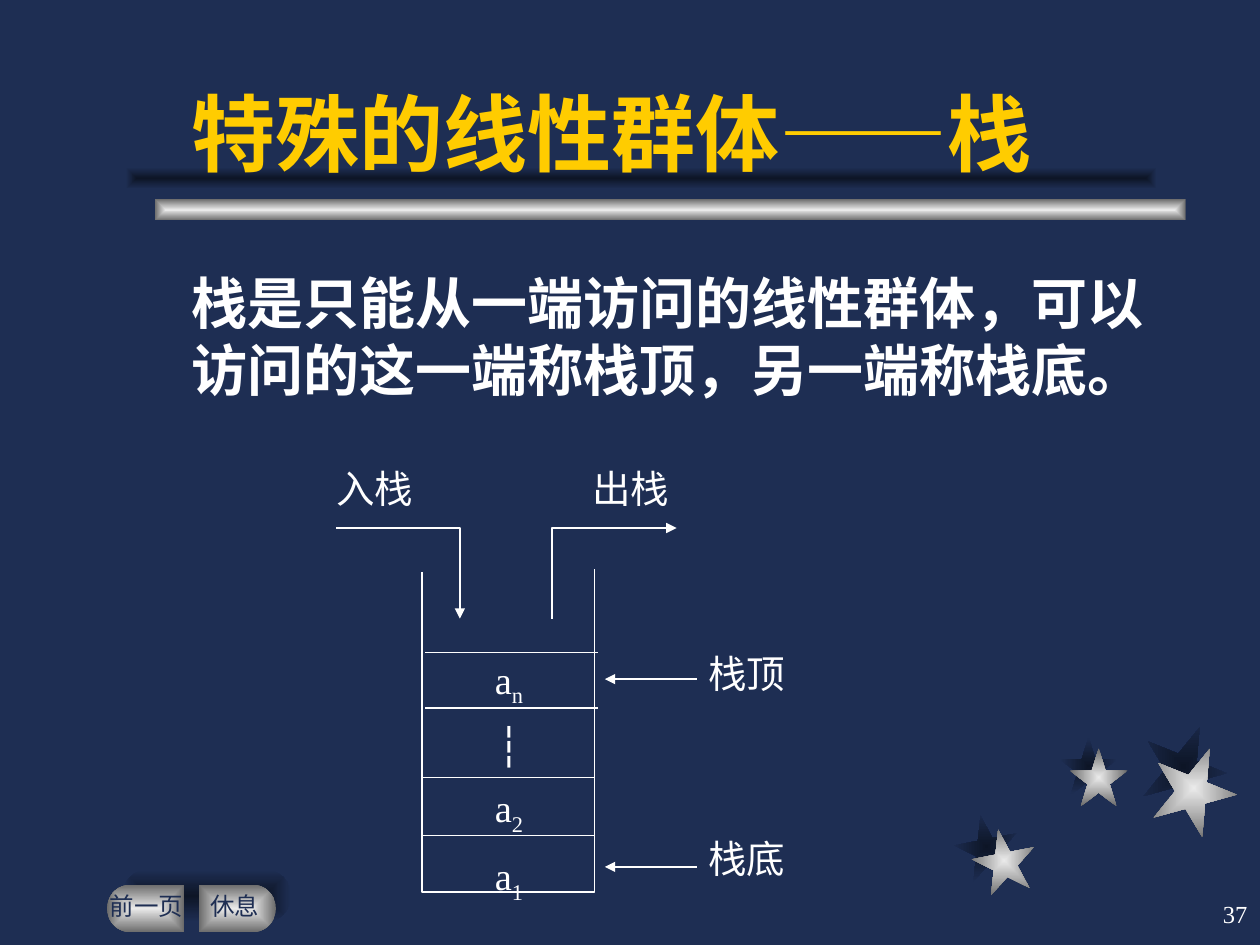
import math
from dataclasses import dataclass

import lxml.etree
import pptx
import pptx.dml.color
import pptx.enum.shapes
import pptx.enum.text
import pptx.oxml.ns
import pptx.util

ALIGN = pptx.enum.text.PP_ALIGN
ANCHOR = pptx.enum.text.MSO_ANCHOR
SHAPE = pptx.enum.shapes.MSO_SHAPE
qn = pptx.oxml.ns.qn


@dataclass(frozen=True)
class Theme:
    background: str = "1E2E53"
    title: str = "FFCC00"
    text: str = "FFFFFF"
    metal: tuple = ("EAEAEA", "6B6B6B")
    shade: tuple = ("0D1526", "1E2E53")
    heading_font: str = "Arial"
    label_font: str = "Times New Roman"
    title_size: int = 48
    body_size: int = 32
    label_size: int = 22
    small_size: int = 14
    line_width: float = 0.75


def rgb(value):
    return pptx.dml.color.RGBColor.from_string(value)


class SlideBuilder:
    """Places elements on a grid of 100 columns by 75 rows."""

    COLUMNS, ROWS = 100, 75

    def __init__(self, presentation, theme):
        self.theme = theme
        self.column = presentation.slide_width / self.COLUMNS
        self.row = presentation.slide_height / self.ROWS
        self.slide = presentation.slides.add_slide(presentation.slide_layouts[1])
        self.shapes = self.slide.shapes
        self.slide.background.fill.solid()
        self.slide.background.fill.fore_color.rgb = rgb(theme.background)

    def point(self, x, y):
        return round(x * self.column), round(y * self.row)

    def box(self, left, top, width, height):
        return *self.point(left, top), *self.point(width, height)

    def glow(self, shape, colors):
        """Fill from the centre outwards, without outline or shadow."""
        shape.shadow.inherit = False
        shape.line.fill.background()
        shape.fill.gradient()
        for stop, color in zip(shape.fill.gradient_stops, colors):
            stop.color.rgb = rgb(color)
        for position, stop in enumerate(shape.fill.gradient_stops):
            stop.position = position
        gradient = shape._element.spPr.find(qn("a:gradFill"))
        gradient.remove(gradient.find(qn("a:lin")))
        focus = lxml.etree.SubElement(gradient, qn("a:path"), {"path": "rect"})
        sides = dict.fromkeys("ltrb", "50000")
        lxml.etree.SubElement(focus, qn("a:fillToRect"), sides)

    def preset(self, kind, area, colors, rotation=0):
        shape = self.shapes.add_shape(kind, *self.box(*area))
        shape.rotation = rotation
        self.glow(shape, colors)
        return shape

    def outline(self, points, close):
        builder = self.shapes.build_freeform(*self.point(*points[0]))
        builder.add_line_segments([self.point(*p) for p in points[1:]], close=close)
        shape = builder.convert_to_shape()
        shape.shadow.inherit = False
        return shape

    def button(self, flat_x, round_x, middle, radius, colors):
        """A tab with one flat side and one half-round side."""
        side = 1 if round_x > flat_x else -1
        centre = round_x - side * radius
        angles = [math.radians(a) for a in range(-90, 91, 10)]
        arc = [(centre + side * radius * math.cos(a), middle + radius * math.sin(a))
               for a in angles]
        points = [(flat_x, middle - radius), *arc, (flat_x, middle + radius)]
        self.glow(self.outline(points, True), colors)

    def stroke(self, shape, arrow):
        shape.line.width = pptx.util.Pt(self.theme.line_width)
        shape.line.color.rgb = rgb(self.theme.text)
        if arrow:
            line = shape._element.spPr.find(qn("a:ln"))
            lxml.etree.SubElement(line, qn("a:tailEnd"), {"type": "triangle"})

    def polyline(self, points, arrow=False):
        shape = self.outline(points, False)
        shape.fill.background()
        self.stroke(shape, arrow)

    def line(self, start, end, arrow=False):
        connector = self.shapes.add_connector(
            pptx.enum.shapes.MSO_CONNECTOR.STRAIGHT,
            *self.point(*start), *self.point(*end))
        self.stroke(connector, arrow)
        lxml.etree.SubElement(connector._element.spPr, qn("a:effectLst"))

    def style(self, paragraph, size, color, font, bold=False, align=ALIGN.LEFT):
        paragraph.alignment = align
        paragraph.font.size = pptx.util.Pt(size)
        paragraph.font.name = font
        paragraph.font.bold = bold
        paragraph.font.color.rgb = rgb(color)

    def placeholder(self, index, area, text, size, color, anchor):
        shape = self.slide.placeholders[index]
        shape.left, shape.top, shape.width, shape.height = self.box(*area)
        frame = shape.text_frame
        frame.text = text
        frame.auto_size = pptx.enum.text.MSO_AUTO_SIZE.NONE
        frame.vertical_anchor = anchor
        paragraph = frame.paragraphs[0]
        self.style(paragraph, size, color, self.theme.heading_font, True)
        self.shapes._spTree.append(shape._element)  # bring to the front
        return paragraph

    def label(self, area, lines, size=None, color=None, align=ALIGN.LEFT,
              anchor=ANCHOR.TOP, spacing=None):
        """Each line is a pair: base text and subscript."""
        frame = self.shapes.add_textbox(*self.box(*area)).text_frame
        frame.word_wrap = True
        frame.vertical_anchor = anchor
        frame.margin_left = frame.margin_right = 0
        frame.margin_top = frame.margin_bottom = 0
        for number, (base, subscript) in enumerate(lines):
            paragraph = frame.add_paragraph() if number else frame.paragraphs[0]
            self.style(paragraph, size or self.theme.label_size,
                       color or self.theme.text, self.theme.label_font, align=align)
            paragraph.line_spacing = spacing
            paragraph.add_run().text = base
            if subscript:
                run = paragraph.add_run()
                run.text = subscript
                run._r.get_or_add_rPr().set("baseline", "-25000")


def main():
    presentation = pptx.Presentation()
    presentation.slide_width = pptx.util.Inches(10)
    presentation.slide_height = pptx.util.Inches(7.5)
    theme = Theme()
    page = SlideBuilder(presentation, theme)

    # Stars: size, rotation, shadow corner, star corner
    stars = [(5, 349, (75.8, 64.7), (77.2, 65.8)),
             (4.6, 0, (84.1, 58.5), (84.9, 59.4)),
             (6.7, 22, (90.6, 57.5), (91.4, 59.2))]
    for layer, colors in ((2, theme.shade), (3, theme.metal)):
        for star in stars:
            size, rotation = star[:2]
            page.preset(SHAPE.STAR_5_POINT, (*star[layer], size, size),
                        colors, rotation)

    # Bar under the title and its shadow
    page.preset(SHAPE.RECTANGLE, (12.3, 15.8, 81.8, 1.7), theme.metal)
    page.preset(SHAPE.RECTANGLE, (10, 13.3, 81.8, 1.7), theme.shade)

    # Navigation buttons
    shadow = page.preset(SHAPE.ROUNDED_RECTANGLE, (9.7, 69, 13.4, 4.2), theme.shade)
    shadow.adjustments[0] = 0.5
    for flat_x, round_x, left, caption in ((14.6, 8.5, 8.3, "前一页"),
                                           (15.8, 21.9, 15.3, "休息")):
        page.button(flat_x, round_x, 72.1, 1.9, theme.metal)
        page.label((left, 70.7, 6.7, 2.3), [(caption, "")], theme.small_size,
                   theme.background, ALIGN.CENTER, ANCHOR.MIDDLE)

    # Title and definition
    page.placeholder(0, (14.2, 2.5, 78.3, 12.5), "特殊的线性群体——栈",
                     theme.title_size, theme.title, ANCHOR.BOTTOM)
    body = page.placeholder(
        1, (14.2, 20.8, 79.2, 19.2),
        "栈是只能从一端访问的线性群体，可以访问的这一端称栈顶，另一端称栈底。",
        theme.body_size, theme.text, ANCHOR.TOP)
    body.space_before = pptx.util.Pt(8)
    properties = body._p.get_or_add_pPr()
    properties.set("marL", "0")
    properties.set("indent", "0")
    lxml.etree.SubElement(properties, qn("a:buNone"))
    # Bullet settings come before the default run properties
    properties.append(properties.find(qn("a:defRPr")))

    # Stack container, its cells and their contents
    left, right = 33.5, 47.2
    page.polyline([(left, 45.4), (left, 70.8), (right, 70.8), (right, 45.2)])
    for y, shift in ((51.8, 0.25), (56.2, 0.25), (61.7, 0), (66.3, 0)):
        page.line((left + shift, y), (right + shift, y))
    page.label((34.2, 50.8, 12.4, 19.9),
               [("a", "n"), ("┆", ""), ("a", "2"), ("a", "1")],
               align=ALIGN.CENTER, spacing=1.3)

    # Push and pop
    page.polyline([(26.7, 41.9), (36.5, 41.9), (36.5, 49.1)], arrow=True)
    page.polyline([(43.8, 49.1), (43.8, 41.9), (53.7, 41.9)], arrow=True)
    for x, caption in ((26.7, "入栈"), (47, "出栈")):
        page.label((x, 36.9, 9.4, 4.3), [(caption, "")])

    # Top and bottom of the stack
    for y, top, caption in ((53.9, 51.6, "栈顶"), (68.8, 66.3, "栈底")):
        page.line((55.3, y), (48, y), arrow=True)
        page.label((56.2, top, 16.3, 4.6), [(caption, "")])

    # Page number
    page.label((79.2, 70, 19.8, 5), [("37", "")], theme.small_size,
               align=ALIGN.RIGHT, anchor=ANCHOR.MIDDLE)

    presentation.save("out.pptx")


if __name__ == "__main__":
    main()
